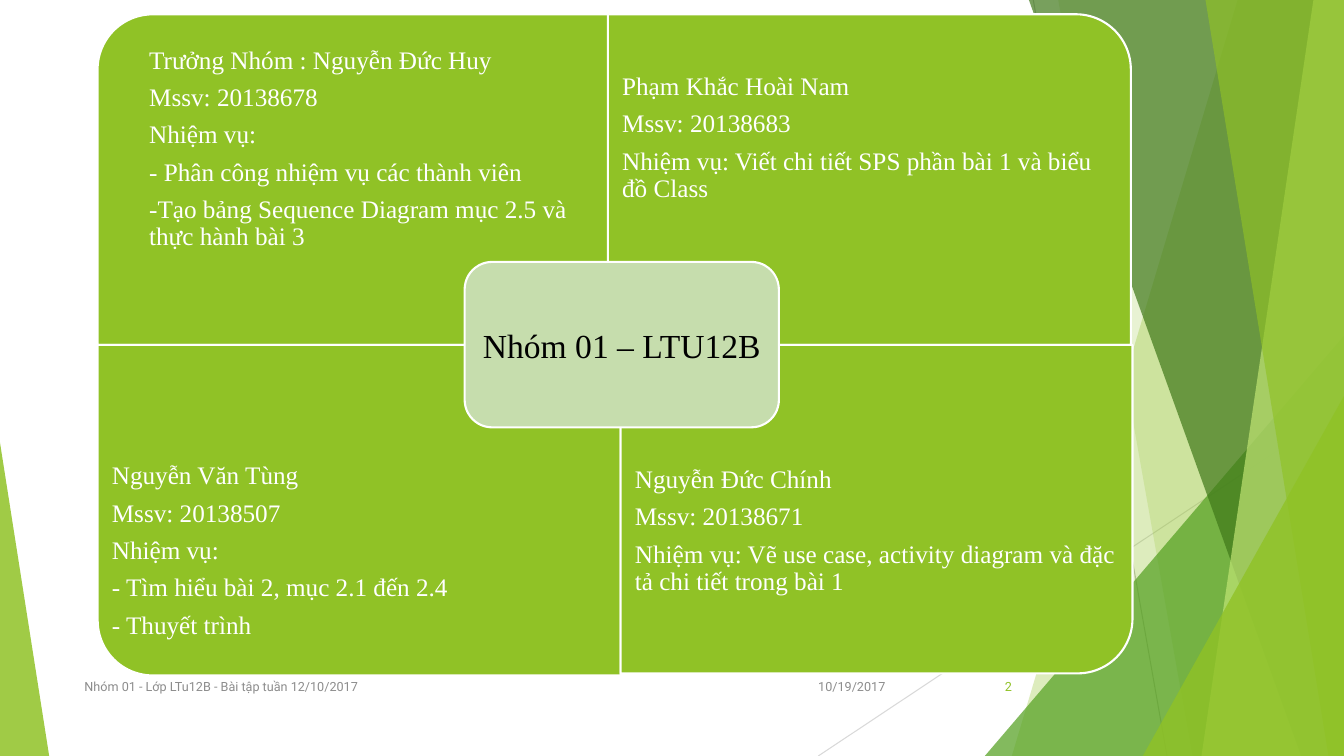
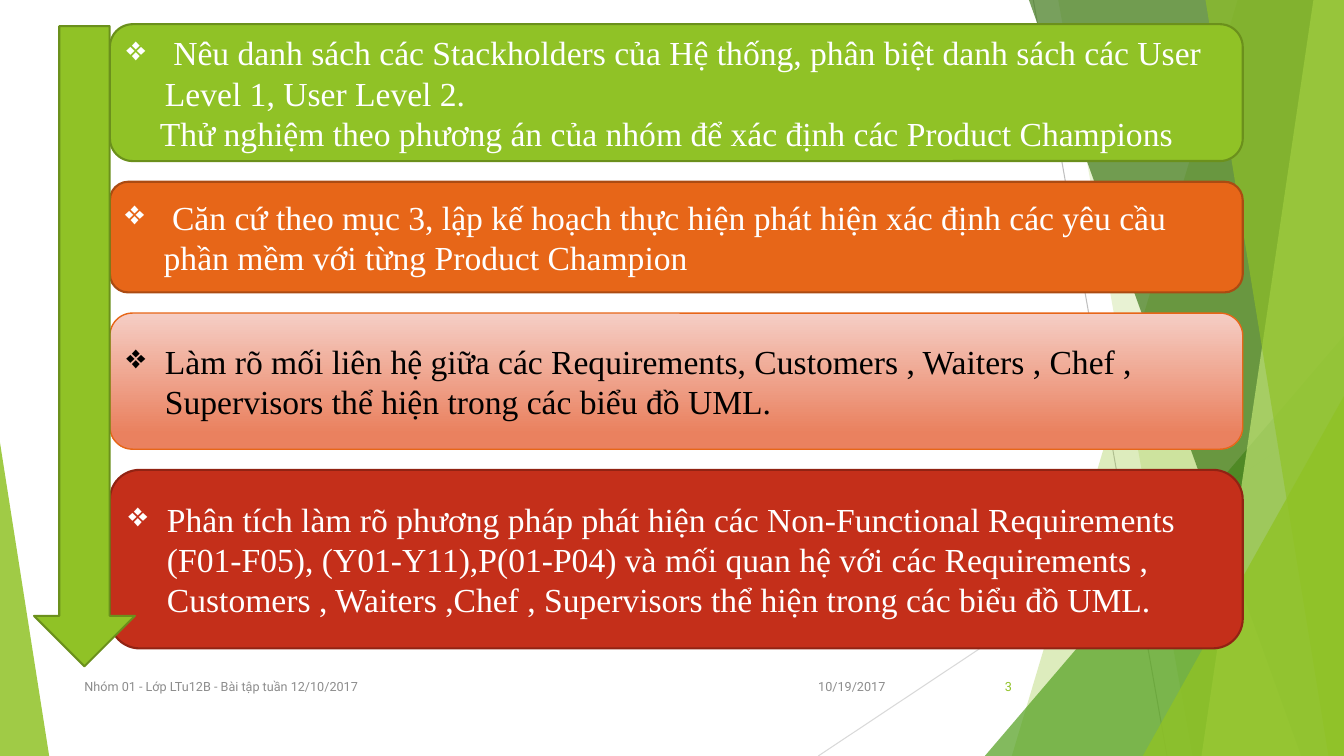
"""Build two slides: the group members and the exercise tasks."""
from dataclasses import dataclass

from lxml.etree import SubElement
from pptx import Presentation
from pptx.dml.color import RGBColor
from pptx.enum.shapes import MSO_CONNECTOR, MSO_SHAPE
from pptx.enum.text import MSO_ANCHOR as Anchor, PP_ALIGN as Align
from pptx.oxml.ns import qn
from pptx.util import Cm, Pt

COLOURS = {
    "white": "FFFFFF", "black": "000000", "green": "90C226",
    "green_edge": "6B901C", "leaf": "54A021", "forest": "3F7819",
    "lime": "C0E474", "sage": "C6DDAD", "orange": "E76618",
    "orange_edge": "AB4B12", "blush": "F5CEC5", "salmon": "EA815F",
    "red": "C42F1A", "red_edge": "912313", "grey": "8C8C8C",
    "line_dark": "BFBFBF", "line_light": "D9D9D9",
}
WIDTH, HEIGHT = 33.87, 19.05
SERIF, SANS = "Times New Roman", "Roboto"
FOOTER = "Nhóm 01 - Lớp LTu12B - Bài tập tuần 12/10/2017"
DATE = "10/19/2017"
CARD_LEFT, CARD_WIDTH, CARD_TOP, CARD_GAP = 2.77, 28.55, 0.61, 0.52
HANGING = 0.97


@dataclass(frozen=True)
class Box:
    left: float
    top: float
    width: float
    height: float

    def lengths(self) -> tuple:
        return Cm(self.left), Cm(self.top), Cm(self.width), Cm(self.height)


@dataclass(frozen=True)
class Band:
    top_x: float
    bottom_x: float
    colour: str
    opacity: int


@dataclass(frozen=True)
class Peak:
    left: float
    top: float
    width: float
    tip: float
    colour: str
    opacity: int


@dataclass(frozen=True)
class Ray:
    start: tuple
    end: tuple
    colour: str


@dataclass(frozen=True)
class Member:
    box: Box
    rotation: int
    text_top: float
    inset: float
    lines: tuple


@dataclass(frozen=True)
class Card:
    height: float
    fill: tuple
    edge: str
    edge_width: float
    text_colour: str
    task: str
    follow_up: str = ""


RAYS = (
    Ray((26.04, 0), (29.41, HEIGHT), "line_dark"),
    Ray((WIDTH, 10.24), (20.62, HEIGHT), "line_light"),
)
FACETS = (
    Band(31.19, 25.5, "green", 30),
    Band(26.67, 30.05, "green", 20),
    Peak(24.82, 8.46, 9.05, 1, "leaf", 72),
    Band(25.93, 32.79, "forest", 70),
    Band(33.1, 30.28, "lime", 70),
    Band(30.38, 33.48, "green", 65),
    Peak(28.8, 9.98, 5.07, 1, "green", 80),
    Peak(0, 11.15, 1.24, 0, "green", 85),
)
MEMBERS = (
    Member(Box(2.46, 0.36, 13.18, 8.33), 270, 0.64, 1.3, (
        "Trưởng Nhóm : Nguyễn Đức Huy", "Mssv: 20138678", "Nhiệm vụ:",
        "- Phân công nhiệm vụ các thành viên",
        "-Tạo bảng Sequence Diagram mục 2.5 và thực hành bài 3")),
    Member(Box(15.32, 0.36, 13.18, 8.33), 0, 0.36, 0.36, (
        "Phạm Khắc Hoài Nam", "Mssv: 20138683",
        "Nhiệm vụ: Viết chi tiết SPS phần bài 1 và biểu đồ Class")),
    Member(Box(2.46, 8.69, 13.18, 8.33), 180, 10.77, 0.36, (
        "Nguyễn Văn Tùng", "Mssv: 20138507", "Nhiệm vụ:",
        "- Tìm hiểu bài 2, mục 2.1 đến 2.4", "- Thuyết trình")),
    Member(Box(15.64, 8.69, 12.9, 8.28), 90, 10.26, 0.36, (
        "Nguyễn Đức Chính", "Mssv: 20138671",
        "Nhiệm vụ: Vẽ use case, activity diagram và đặc tả chi tiết "
        "trong bài 1")),
)
CARDS = (
    Card(3.45, ("green",), "green_edge", 1.5, "white",
         " Nêu danh sách các Stackholders của Hệ thống, phân biệt danh sách "
         "các User Level 1, User Level 2.",
         "Thử nghiệm theo phương án của nhóm để xác định các Product "
         "Champions"),
    Card(2.79, ("orange",), "orange_edge", 1.5, "white",
         " Căn cứ theo mục 3, lập kế hoạch thực hiện phát hiện xác định các "
         "yêu cầu phần mềm với từng Product Champion"),
    Card(3.43, ("blush", "salmon"), "orange", 1, "black",
         "Làm rõ mối liên hệ giữa các Requirements, Customers , Waiters , "
         "Chef , Supervisors thể hiện trong các biểu đồ UML."),
    Card(4.5, ("red",), "red_edge", 1.5, "white",
         "Phân tích làm rõ phương pháp phát hiện các Non-Functional "
         "Requirements (F01-F05), (Y01-Y11),P(01-P04) và mối quan hệ với các "
         "Requirements , Customers , Waiters ,Chef , Supervisors thể hiện "
         "trong các biểu đồ UML."),
)


def rgb(name: str) -> RGBColor:
    return RGBColor.from_string(COLOURS[name])


def paint(shape, fill: tuple, edge: str = "", edge_width: float = 1.5) -> None:
    shape.shadow.inherit = False
    if len(fill) == 2:
        shape.fill.gradient()
        shape.fill.gradient_angle = 270
        for stop, name, position in zip(shape.fill.gradient_stops, fill, (0, 0.88)):
            stop.color.rgb = rgb(name)
            stop.position = position
    else:
        shape.fill.solid()
        shape.fill.fore_color.rgb = rgb(fill[0])
    if edge:
        shape.line.color.rgb = rgb(edge)
        shape.line.width = Pt(edge_width)
    else:
        shape.line.fill.background()


def add_preset(slide, preset, box: Box, fill: tuple, edge: str = "",
               edge_width: float = 1.5):
    shape = slide.shapes.add_shape(preset, *box.lengths())
    paint(shape, fill, edge, edge_width)
    return shape


def write(shape, lines: tuple, font: str, size: float, colour: str,
          align=Align.LEFT, inset: float = 0.25) -> list:
    frame = shape.text_frame
    frame.word_wrap = True
    frame.vertical_anchor = Anchor.MIDDLE
    frame.margin_left = frame.margin_right = Cm(inset)
    frame.text = "\n".join(lines)
    for paragraph in frame.paragraphs:
        paragraph.alignment = align
        for run in paragraph.runs:
            run.font.name = font
            run.font.size = Pt(size)
            run.font.color.rgb = rgb(colour)
    return list(frame.paragraphs)


def add_ray(slide, ray: Ray) -> None:
    points = [Cm(value) for value in ray.start + ray.end]
    line = slide.shapes.add_connector(MSO_CONNECTOR.STRAIGHT, *points)
    line.line.color.rgb = rgb(ray.colour)
    line.line.width = Pt(0.75)
    SubElement(line._element.spPr, qn("a:effectLst"))


def add_facet(slide, facet: Band | Peak) -> None:
    if isinstance(facet, Band):
        builder = slide.shapes.build_freeform(Cm(facet.top_x), 0)
        corners = ((WIDTH, 0), (WIDTH, HEIGHT), (facet.bottom_x, HEIGHT))
        builder.add_line_segments([(Cm(x), Cm(y)) for x, y in corners])
        shape = builder.convert_to_shape()
        paint(shape, (facet.colour,))
    else:
        box = Box(facet.left, facet.top, facet.width, HEIGHT - facet.top)
        shape = add_preset(slide, MSO_SHAPE.ISOSCELES_TRIANGLE, box,
                           (facet.colour,))
        shape.adjustments[0] = facet.tip
    colour = shape._element.spPr.find(qn("a:solidFill")).find(qn("a:srgbClr"))
    SubElement(colour, qn("a:alpha")).set("val", str(facet.opacity * 1000))


def add_base_slide(presentation, number: int):
    slide = presentation.slides.add_slide(presentation.slide_layouts[6])
    for ray in RAYS:
        add_ray(slide, ray)
    for facet in FACETS:
        add_facet(slide, facet)
    for left, width, text, colour, align in (
            (20.02, 2.54, DATE, "grey", Align.RIGHT),
            (1.88, 17.5, FOOTER, "grey", Align.LEFT),
            (23.85, 1.9, str(number), "green", Align.RIGHT)):
        label = slide.shapes.add_textbox(*Box(left, 16.79, width, 1.02).lengths())
        write(label, (text,), SANS, 9, colour, align)
    return slide


def add_member(slide, member: Member) -> None:
    box = member.box
    turned = box
    if member.rotation % 180:
        shift = (box.width - box.height) / 2
        turned = Box(box.left + shift, box.top - shift, box.height, box.width)
    panel = add_preset(slide, MSO_SHAPE.ROUND_1_RECTANGLE, turned, ("green",),
                       "white")
    panel.rotation = member.rotation
    text_box = slide.shapes.add_textbox(
        *Box(box.left, member.text_top, box.width, 6.25).lengths())
    for paragraph in write(text_box, member.lines, SERIF, 18, "white",
                           inset=member.inset):
        paragraph.line_spacing = 0.9
        paragraph.space_after = Pt(7.2)


def add_card(slide, card: Card, top: float) -> None:
    shape = add_preset(slide, MSO_SHAPE.ROUNDED_RECTANGLE,
                       Box(CARD_LEFT, top, CARD_WIDTH, card.height),
                       card.fill, card.edge, card.edge_width)
    lines = (card.task, card.follow_up) if card.follow_up else (card.task,)
    task, *follow_ups = write(shape, lines, SERIF, 24, card.text_colour)
    properties = task._p.get_or_add_pPr()
    properties.set("marL", str(Cm(HANGING)))
    properties.set("indent", str(-Cm(HANGING)))
    SubElement(properties, qn("a:buChar")).set("char", "❖")
    for paragraph in follow_ups:
        paragraph._p.get_or_add_pPr().set("marL", str(Cm(0.84)))


def build_members_slide(presentation) -> None:
    slide = add_base_slide(presentation, 2)
    for member in MEMBERS:
        add_member(slide, member)
    hub = add_preset(slide, MSO_SHAPE.ROUNDED_RECTANGLE,
                     Box(11.71, 6.6, 7.92, 4.17), ("sage",), "white")
    write(hub, ("Nhóm 01 – LTU12B",), SERIF, 24, "black", Align.CENTER, 0.1)


def build_tasks_slide(presentation) -> None:
    slide = add_base_slide(presentation, 3)
    top = CARD_TOP
    for card in CARDS:
        add_card(slide, card, top)
        top += card.height + CARD_GAP
    add_preset(slide, MSO_SHAPE.DOWN_ARROW, Box(0.86, 0.66, 2.54, 16.13),
               ("green",), "green_edge")


def main() -> None:
    presentation = Presentation()
    presentation.slide_width = Cm(WIDTH)
    presentation.slide_height = Cm(HEIGHT)
    build_members_slide(presentation)
    build_tasks_slide(presentation)
    presentation.save("out.pptx")


if __name__ == "__main__":
    main()
